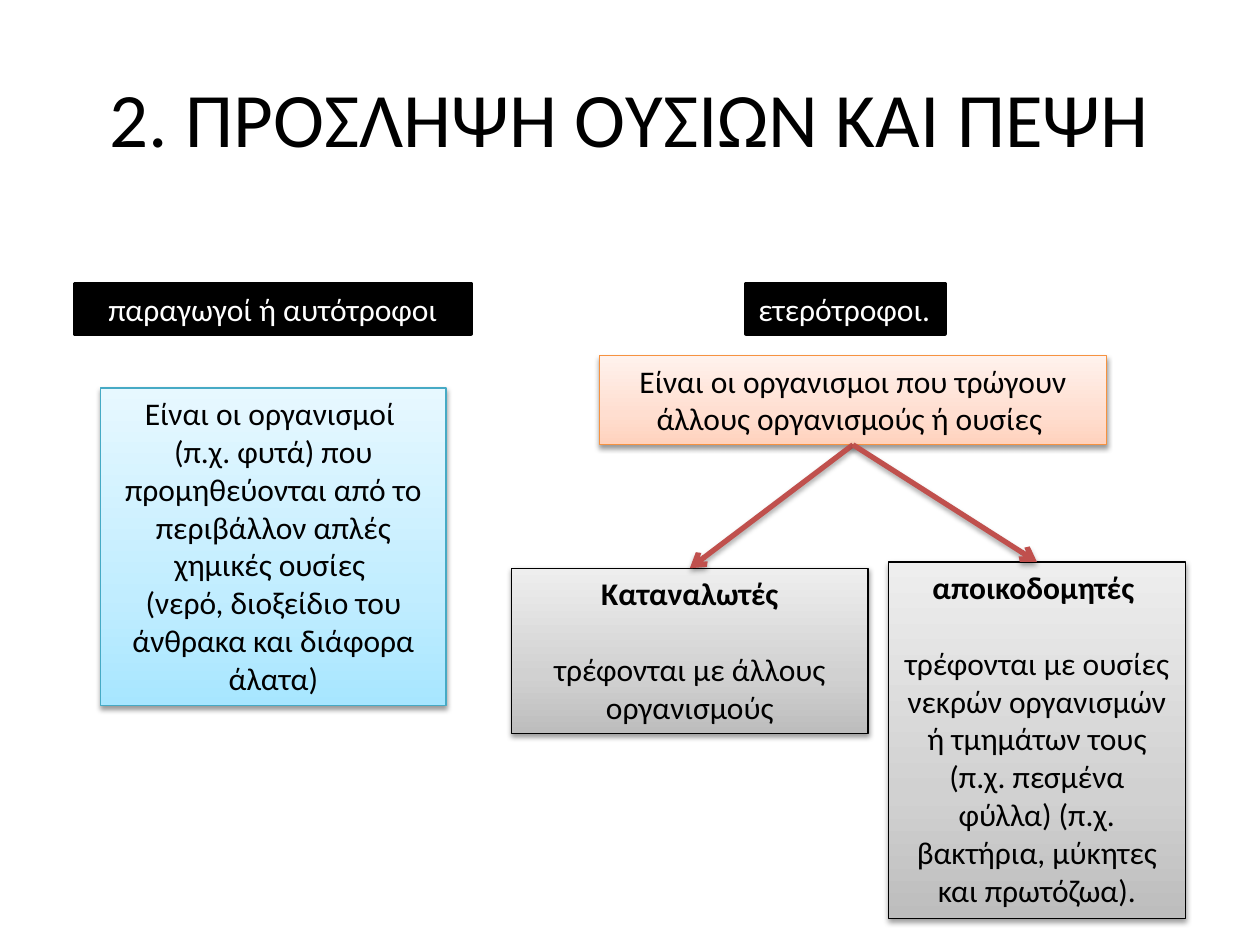
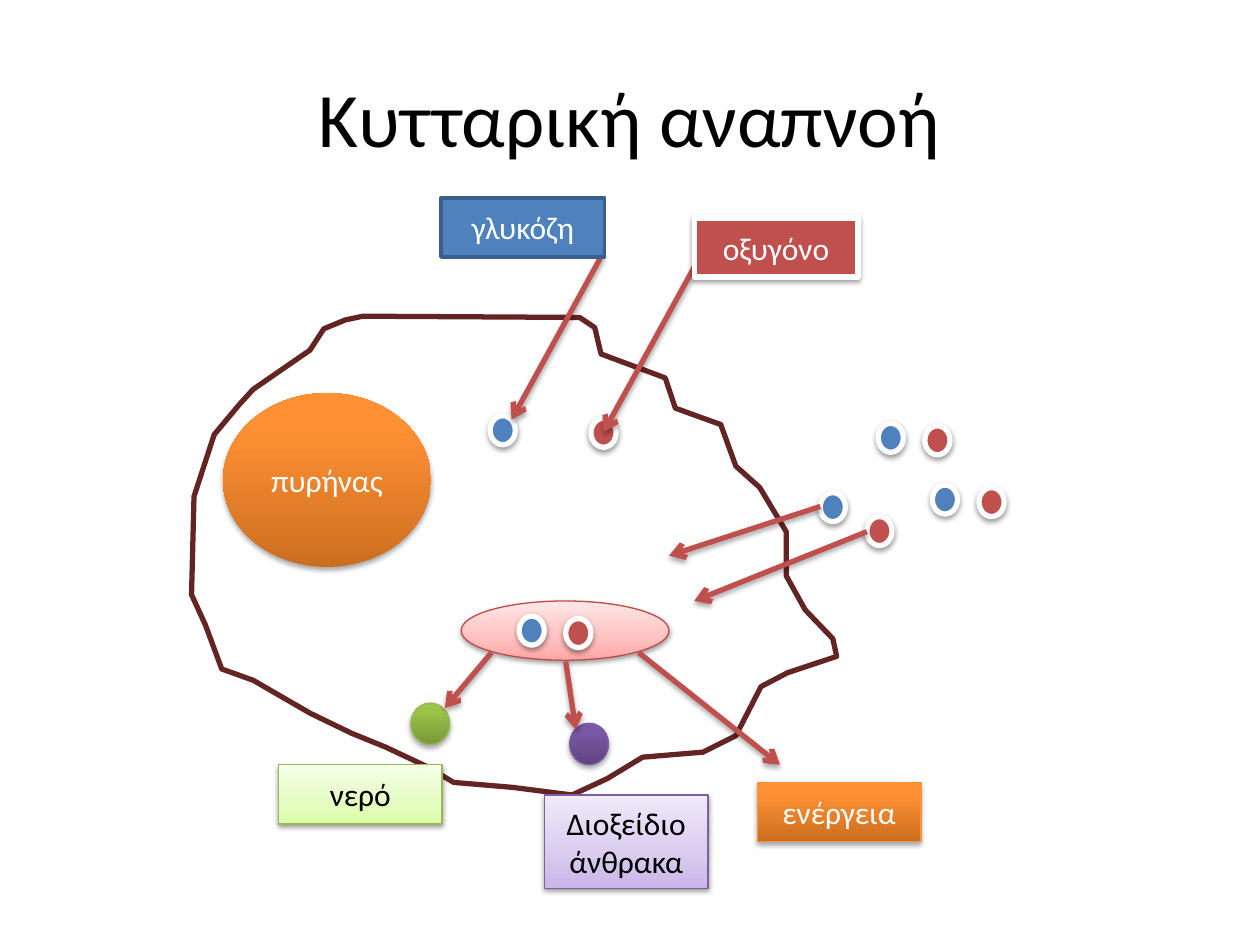
from copy import deepcopy

from lxml import etree
from pptx import Presentation
from pptx.dml.color import RGBColor
from pptx.enum.shapes import MSO_CONNECTOR, MSO_SHAPE
from pptx.enum.text import MSO_ANCHOR, PP_ALIGN
from pptx.oxml.ns import qn
from pptx.util import Inches, Pt

FONT = "Calibri"
rgb = RGBColor.from_string
BLACK = rgb("000000")
WHITE = rgb("FFFFFF")
BLUE = rgb("4F81BD")
DARK_BLUE = rgb("3A5F8C")
RED = rgb("C0504D")
BRIGHT_RED = rgb("BF4C48")
MAROON = rgb("632523")
CYAN = rgb("46AAC5")
ORANGE = rgb("F69240")
GREEN = rgb("98B955")
PURPLE = rgb("7D60A0")

# Gradients run from bottom to top; the middle stop is at 35% (pale) or 80% (strong).
PALE_STOPS = (0, 0.35, 1)
STRONG_STOPS = (0, 0.8, 1)


def gradient(stops, *colors):
    return list(zip(stops, map(rgb, colors)))


PALE_CYAN = gradient(PALE_STOPS, "A7E6FF", "C1EDFF", "E7F8FF")
PALE_ORANGE = gradient(PALE_STOPS, "FFD2BD", "FFDED0", "FFF2ED")
PALE_GREY = gradient(PALE_STOPS, "BDBDBD", "D1D1D1", "EEEEEE")
PALE_RED = gradient(PALE_STOPS, "FFA6A5", "FFC0BF", "FFE7E7")
PALE_PURPLE = gradient(PALE_STOPS, "C9B5E8", "D8CBEE", "F0EAF9")
PALE_GREEN = gradient(PALE_STOPS, "DAFDA7", "E4FCC2", "F5FFE7")
STRONG_ORANGE = gradient(STRONG_STOPS, "CC6E20", "FF9034", "FF9136")
STRONG_GREEN = gradient(STRONG_STOPS, "779737", "9BC348", "9DC746")
STRONG_PURPLE = gradient(STRONG_STOPS, "5F4480", "7B58A6", "7C57A8")

# Shadow: opacity in percent, distance in points
SOFT = (38, 1.6)
DEEP = (35, 1.8)

# Corners of the membrane in hundredths of an inch from the corner of the cell
MEMBRANE = [
    (136, 0), (308, 1), (320, 9), (325, 30), (376, 49), (384, 73), (420, 86),
    (432, 119), (451, 136), (472, 171), (472, 206), (487, 233), (509, 256),
    (512, 270), (473, 283), (452, 294), (432, 333), (406, 346), (358, 350),
    (330, 367), (302, 380), (255, 374), (208, 370), (188, 358), (154, 342),
    (127, 331), (94, 315), (49, 289), (24, 280), (11, 245), (0, 221), (2, 143),
    (18, 94), (38, 70), (49, 58), (94, 27), (105, 10), (122, 3),
]


def add_shadow(effects, opacity, distance):
    outer = etree.SubElement(effects, qn("a:outerShdw"), blurRad=str(Pt(3.1)),
                             dist=str(Pt(distance)), dir="5400000", rotWithShape="0")
    color = etree.SubElement(outer, qn("a:srgbClr"), val=str(BLACK))
    etree.SubElement(color, qn("a:alpha"), val=str(opacity * 1000))


def paint(shape, fill, line, width, shadow):
    """Fill with a colour or a gradient, then set outline and shadow."""
    properties = shape._element.spPr
    if isinstance(fill, list):
        shape.fill.gradient()
        shape.fill.gradient_angle = 90
        stop_list = properties.find(".//" + qn("a:gsLst"))
        stop_list.append(deepcopy(stop_list[0]))
        for stop, (position, color) in zip(shape.fill.gradient_stops, fill):
            stop.position = position
            stop.color.rgb = color
    elif fill is None:
        shape.fill.background()
    else:
        shape.fill.solid()
        shape.fill.fore_color.rgb = fill
    if line is None:
        shape.line.fill.background()
    else:
        shape.line.color.rgb = line
        shape.line.width = Pt(width)
    shape.shadow.inherit = False
    if shadow:
        add_shadow(properties.find(qn("a:effectLst")), *shadow)


def write(shape, paragraphs, color=BLACK, size=18, anchor=MSO_ANCHOR.MIDDLE,
          align=PP_ALIGN.CENTER, wrap=True, headed=False):
    """Write the paragraphs; a headed text has a bold first line and a gap below it."""
    frame = shape.text_frame
    frame.word_wrap = wrap
    frame.vertical_anchor = anchor
    for index, text in enumerate(paragraphs):
        paragraph = frame.add_paragraph() if index else frame.paragraphs[0]
        paragraph.alignment = align
        if headed and index == 1:
            paragraph.space_before = Pt(21.7)
        run = paragraph.add_run()
        run.text = text
        run.font.name = FONT
        run.font.size = Pt(size)
        run.font.bold = headed and index == 0
        run.font.color.rgb = color


class Region:
    """Part of a slide whose contents are placed from its top left corner."""

    def __init__(self, slide, left, top):
        self.shapes = slide.shapes
        self.left, self.top = left, top

    def at(self, x, y):
        return Inches(self.left + x), Inches(self.top + y)

    def add(self, kind, x, y, width, height, fill, line=None, weight=0.75, shadow=None):
        shape = self.shapes.add_shape(kind, *self.at(x, y), Inches(width), Inches(height))
        paint(shape, fill, line, weight, shadow)
        return shape

    def rect(self, *box, **style):
        return self.add(MSO_SHAPE.RECTANGLE, *box, **style)

    def oval(self, *box, **style):
        return self.add(MSO_SHAPE.OVAL, *box, **style)

    def heading(self, x, width, text, **layout):
        bar = self.rect(x, 0, width, 0.4, fill=BLACK, line=BLACK, weight=2)
        write(bar, [text], WHITE, anchor=MSO_ANCHOR.TOP, **layout)

    def card(self, x, y, width, height, fill, line, paragraphs, headed=False):
        card = self.rect(x, y, width, height, fill=fill, line=line, shadow=SOFT)
        write(card, paragraphs, anchor=MSO_ANCHOR.TOP, headed=headed)

    def label(self, x, y, text, color, height=0.47, **style):
        write(self.rect(x, y, 1.3, height, **style), [text], color)

    def molecule(self, x, y, color):
        self.oval(x, y, 0.2, 0.23, fill=color, line=WHITE, weight=3, shadow=SOFT)

    def molecule_pair(self, x, y, dx=0.37, dy=0.02):
        """Glucose, and oxygen at the given offset from it."""
        self.molecule(x, y, BLUE)
        self.molecule(x + dx, y + dy, RED)

    def arrow(self, start, dx, dy):
        x, y = start
        arrow = self.shapes.add_connector(MSO_CONNECTOR.STRAIGHT,
                                          *self.at(x, y), *self.at(x + dx, y + dy))
        arrow.line.color.rgb = RED
        arrow.line.width = Pt(3)
        properties = arrow._element.spPr
        etree.SubElement(properties.find(qn("a:ln")), qn("a:tailEnd"), type="arrow")
        add_shadow(etree.SubElement(properties, qn("a:effectLst")), *DEEP)


def add_titled_slide(deck, title):
    slide = deck.slides.add_slide(deck.slide_layouts[6])
    box = slide.shapes.add_textbox(Inches(0.5), Inches(0.3), Inches(9), Inches(1.25))
    write(box, [title], size=44)
    return slide


def add_autotrophs(region):
    region.heading(0, 3.15, "παραγωγοί ή αυτότροφοι")
    region.card(0.21, 0.83, 2.74, 2.52, PALE_CYAN, CYAN, [
        "Είναι οι οργανισμοί ",
        "(π.χ. φυτά) που προμηθεύονται από το περιβάλλον απλές χημικές ουσίες ",
        "(νερό, διοξείδιο του άνθρακα και διάφορα άλατα)",
    ])


def add_heterotrophs(region):
    region.heading(1.86, 1.58, "ετερότροφοι.", align=PP_ALIGN.LEFT, wrap=False)
    region.card(0.7, 0.57, 4.02, 0.71, PALE_ORANGE, ORANGE,
                ["Είναι οι οργανισμοι που τρώγουν άλλους οργανισμούς ή ουσίες "])
    kinds = [
        (0, 2.26, 2.83, 1.31, ["Καταναλωτές", "τρέφονται με άλλους οργανισμούς"]),
        (2.99, 2.21, 2.36, 2.83, [
            "αποικοδομητές ",
            "τρέφονται με ουσίες νεκρών οργανισμών ή τμημάτων τους (π.χ. πεσμένα "
            "φύλλα) (π.χ. βακτήρια, μύκητες και πρωτόζωα).",
        ]),
    ]
    for x, y, width, height, paragraphs in kinds:
        region.card(x, y, width, height, PALE_GREY, BLACK, paragraphs, headed=True)
    fork_x, fork_y = 2.71, 1.28
    for x, y, width, *_ in kinds:
        region.arrow((fork_x, fork_y), x + width / 2 - fork_x, y - fork_y)


def add_cell(region):
    outline = region.shapes.build_freeform(*MEMBRANE[0], scale=Inches(0.01))
    outline.add_line_segments(MEMBRANE[1:], close=True)
    paint(outline.convert_to_shape(*region.at(0, 0)), None, MAROON, 3, None)
    nucleus = region.oval(0.25, 0.61, 1.65, 1.38, fill=STRONG_ORANGE, shadow=DEEP)
    write(nucleus, ["πυρήνας"], WHITE)
    region.oval(2.14, 2.26, 1.65, 0.47, fill=PALE_RED, line=BRIGHT_RED, shadow=SOFT)
    region.molecule_pair(2.6, 2.38)
    region.molecule_pair(2.37, 0.79, dx=0.8)


def add_incoming_molecules(region):
    region.molecule_pair(1.2, 0.55, dy=0.19)
    region.molecule_pair(1.66, 0)
    region.molecule_pair(2.09, 0.49)
    region.arrow((1.2, 0.66), -1.2, 0.39)
    region.arrow((1.57, 0.86), -1.37, 0.55)


def add_inputs(region):
    for start in [(1.28, 0.45), (2.01, 0.55)]:
        region.arrow(start, -0.72, 1.31)
    region.label(0, 0, "γλυκόζη", WHITE, fill=BLUE, line=DARK_BLUE, weight=2)
    region.label(2.01, 0.16, "οξυγόνο", WHITE, fill=RED, line=WHITE, weight=3, shadow=SOFT)


def add_products(region):
    for x, y, fill, line in [(1.05, 0.4, STRONG_GREEN, GREEN),
                             (2.31, 0.56, STRONG_PURPLE, PURPLE)]:
        region.oval(x, y, 0.31, 0.33, fill=fill, line=line, shadow=DEEP)
    region.arrow((1.69, 0), -0.37, 0.44)
    region.arrow((2.28, 0.07), 0.08, 0.54)
    region.arrow((2.86, 0), 1.12, 0.89)
    region.label(3.8, 1.03, "ενέργεια", WHITE, fill=STRONG_ORANGE, line=ORANGE, shadow=DEEP)
    region.label(2.11, 1.13, "Διοξείδιο άνθρακα", BLACK, height=0.74,
                 fill=PALE_PURPLE, line=PURPLE, shadow=SOFT)
    region.label(0, 0.89, "νερό", BLACK, fill=PALE_GREEN, line=GREEN, shadow=SOFT)


def main():
    deck = Presentation()
    deck.slide_width, deck.slide_height = Inches(10), Inches(7.5)

    nutrition = add_titled_slide(deck, "2. ΠΡΟΣΛΗΨΗ ΟYΣΙΩΝ ΚΑΙ ΠΕΨΗ")
    add_autotrophs(Region(nutrition, 0.59, 2.25))
    add_heterotrophs(Region(nutrition, 4.06, 2.25))

    respiration = add_titled_slide(deck, "Κυτταρική αναπνοή")
    add_cell(Region(respiration, 1.52, 2.51))
    add_incoming_molecules(Region(respiration, 5.31, 3.36))
    add_inputs(Region(respiration, 3.5, 1.57))
    add_products(Region(respiration, 2.21, 5.18))

    deck.save("out.pptx")


if __name__ == "__main__":
    main()
